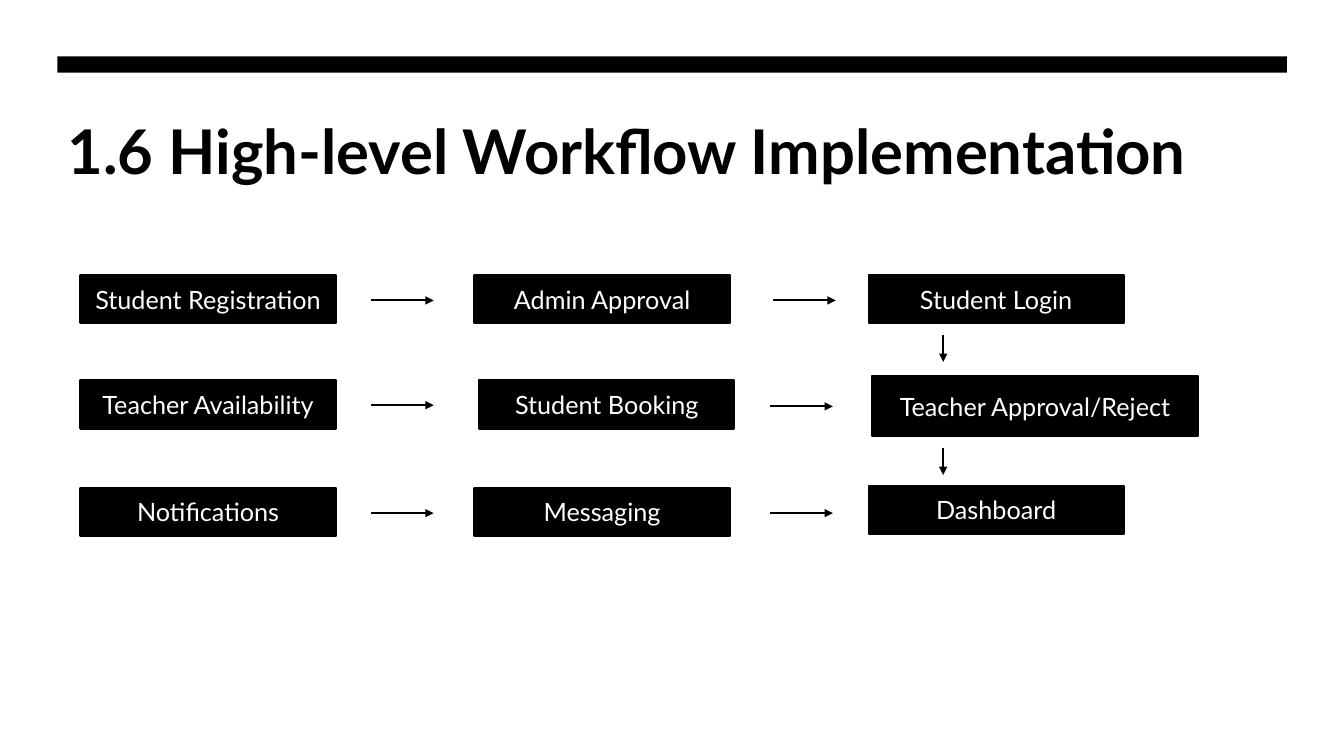
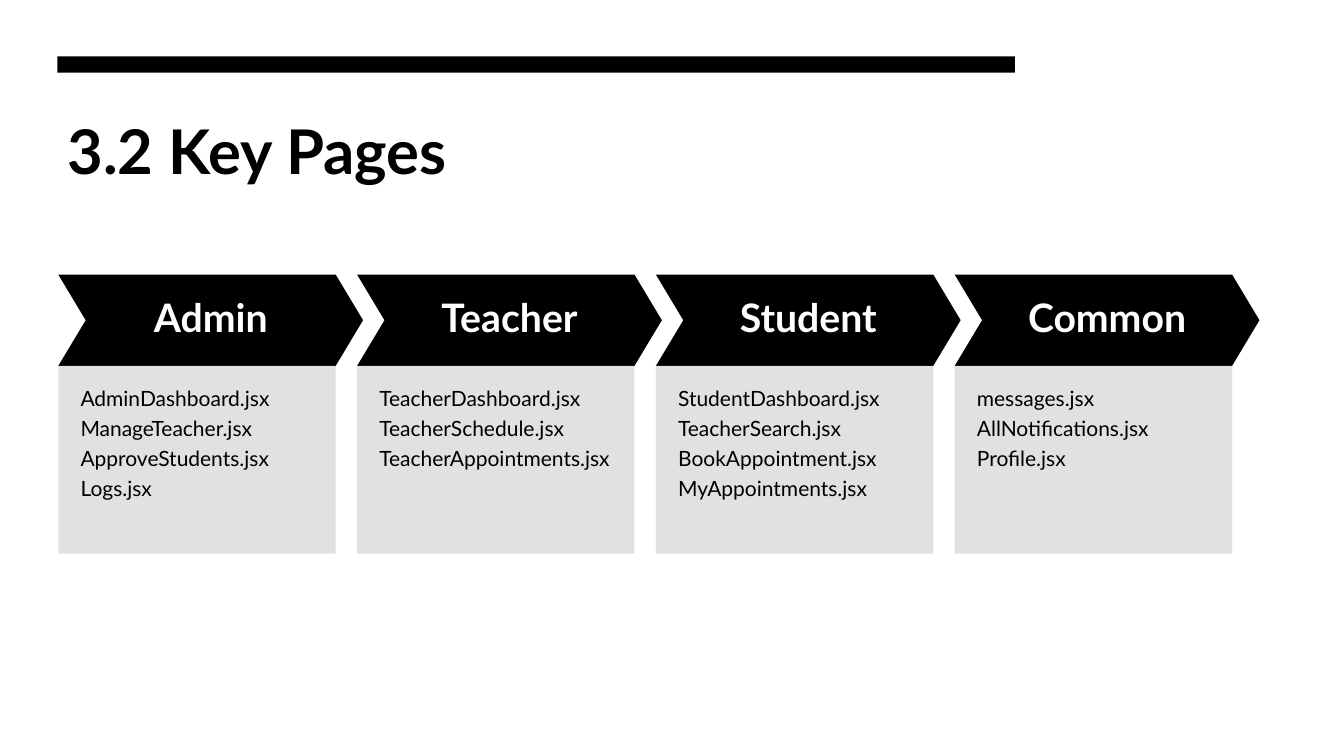
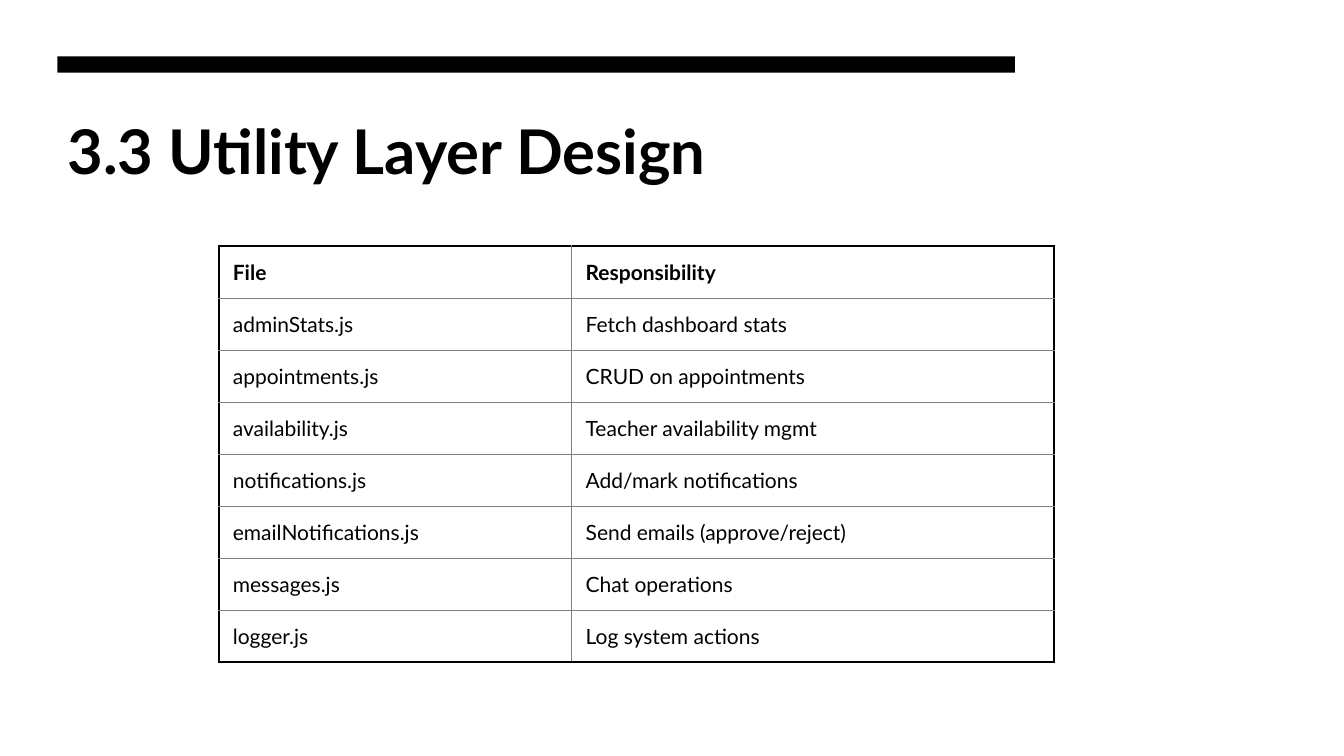
"""Build three slides on the workflow, key pages and utility layer of a booking system."""
from typing import NamedTuple

from lxml import etree
from pptx import Presentation, dml, util as u
from pptx.dml import color
from pptx.enum import shapes, text
from pptx.oxml import ns

COLOURS = {"ink": "000000", "paper": "FFFFFF", "panel": "DEDEDE", "grid": "808080"}
FONT = "Lato"
MARGIN = 1.45
WIDE, NARROW = 30.98, 24.13

COLUMN_LEFT, COLUMN_STEP = 2.03, 9.93
ROW_TOPS = (6.93, 9.58, 12.29)
STEP_WIDTH, STEP_HEIGHT = 6.43, 1.22


class Step(NamedTuple):
    label: str
    column: int
    row: int
    shift_x: float = 0
    shift_y: float = 0
    width: float = STEP_WIDTH
    height: float = STEP_HEIGHT


class Arrow(NamedTuple):
    x: float
    y: float
    dx: float = 0
    dy: float = 0


class PageGroup(NamedTuple):
    role: str
    files: tuple[str, ...]


class Utility(NamedTuple):
    file: str
    responsibility: str


STEPS = (
    Step("Student Registration", 0, 0),
    Step("Admin Approval", 1, 0),
    Step("Student Login", 2, 0),
    Step("Teacher Availability", 0, 1),
    Step("Student Booking", 1, 1, shift_x=0.12),
    Step("Teacher Approval/Reject", 2, 1, 0.08, -0.11, 8.23, 1.52),
    Step("Notifications", 0, 2),
    Step("Messaging", 1, 2),
    Step("Dashboard", 2, 2, shift_y=-0.05),
)
ACROSS, DOWN = 1.58, 0.67
ARROWS = (
    Arrow(9.35, 7.57, dx=ACROSS),
    Arrow(19.48, 7.57, dx=ACROSS),
    Arrow(9.35, 10.21, dx=ACROSS),
    Arrow(19.41, 10.24, dx=ACROSS),
    Arrow(9.35, 12.93, dx=ACROSS),
    Arrow(19.41, 12.93, dx=ACROSS),
    Arrow(23.77, 8.45, dy=DOWN),
    Arrow(23.77, 11.3, dy=DOWN),
)
PAGE_GROUPS = (
    PageGroup("Admin", ("AdminDashboard.jsx", "ManageTeacher.jsx", "ApproveStudents.jsx", "Logs.jsx")),
    PageGroup("Teacher", ("TeacherDashboard.jsx", "TeacherSchedule.jsx", "TeacherAppointments.jsx")),
    PageGroup("Student", ("StudentDashboard.jsx", "TeacherSearch.jsx", "BookAppointment.jsx",
                          "MyAppointments.jsx")),
    PageGroup("Common", ("messages.jsx", "AllNotifications.jsx", "Profile.jsx")),
)
UTILITIES = (
    Utility("File", "Responsibility"),
    Utility("adminStats.js", "Fetch dashboard stats"),
    Utility("appointments.js", "CRUD on appointments"),
    Utility("availability.js", "Teacher availability mgmt"),
    Utility("notifications.js", "Add/mark notifications"),
    Utility("emailNotifications.js", "Send emails (approve/reject)"),
    Utility("messages.js", "Chat operations"),
    Utility("logger.js", "Log system actions"),
)


def rgb(name: str) -> color.RGBColor:
    return color.RGBColor.from_string(COLOURS[name])


def write(frame, lines, size: float, ink: str = "ink", bold: bool = False,
          align=text.PP_ALIGN.LEFT, tight: bool = False) -> None:
    frame.word_wrap = True
    for index, line in enumerate(lines):
        paragraph = frame.paragraphs[0] if index == 0 else frame.add_paragraph()
        paragraph.text = line
        paragraph.alignment = align
        if tight:
            paragraph.line_spacing = 0.9
            paragraph.space_after = u.Pt(size * 0.35)
        font = paragraph.font
        font.name, font.size, font.bold = FONT, u.Pt(size), bold
        font.color.rgb = rgb(ink)


def set_margins(holder, left: float, top: float, right: float, bottom: float) -> None:
    holder.margin_left, holder.margin_top = u.Cm(left), u.Cm(top)
    holder.margin_right, holder.margin_bottom = u.Cm(right), u.Cm(bottom)


def add_block(slide, kind, left: float, top: float, width: float, height: float,
              fill: str = "ink", outline: float = 0):
    block = slide.shapes.add_shape(kind, u.Cm(left), u.Cm(top), u.Cm(width), u.Cm(height))
    block.shadow.inherit = False
    block.fill.solid()
    block.fill.fore_color.rgb = rgb(fill)
    if outline:
        block.line.color.rgb = rgb(fill)
        block.line.width = u.Pt(outline)
    else:
        block.line.fill.background()
    return block


def add_titled_slide(deck, title: str, width: float):
    slide = deck.slides.add_slide(deck.slide_layouts[6])
    add_block(slide, shapes.MSO_SHAPE.RECTANGLE, MARGIN, 1.42, width, 0.41)
    heading = slide.shapes.add_textbox(u.Cm(MARGIN), u.Cm(2.72), u.Cm(width), u.Cm(4.06))
    write(heading.text_frame, [title], 44, bold=True)
    return slide


def add_step(slide, step: Step) -> None:
    block = add_block(slide, shapes.MSO_SHAPE.RECTANGLE,
                      COLUMN_LEFT + step.column * COLUMN_STEP + step.shift_x,
                      ROW_TOPS[step.row] + step.shift_y, step.width, step.height, outline=1.5)
    write(block.text_frame, [step.label], 18, "paper", align=text.PP_ALIGN.CENTER)


def add_arrow(slide, arrow: Arrow) -> None:
    connector = slide.shapes.add_connector(
        shapes.MSO_CONNECTOR.STRAIGHT, u.Cm(arrow.x), u.Cm(arrow.y),
        u.Cm(arrow.x + arrow.dx), u.Cm(arrow.y + arrow.dy))
    connector.line.color.rgb = rgb("ink")
    connector.line.width = u.Pt(1.5)
    properties = connector.element.spPr
    etree.SubElement(properties.find(ns.qn("a:ln")), ns.qn("a:tailEnd"), type="triangle")
    etree.SubElement(properties, ns.qn("a:effectLst"))


def add_page_group(slide, group: PageGroup, left: float) -> None:
    top, banner_height, panel_width = 6.92, 2.3, 6.99
    banner = add_block(slide, shapes.MSO_SHAPE.CHEVRON, left, top, 7.68, banner_height)
    banner.adjustments[0] = 0.3
    set_margins(banner.text_frame, 0.28, 0.28, 0.28, 0.28)
    write(banner.text_frame, [group.role], 28, "paper", True, text.PP_ALIGN.CENTER, tight=True)

    panel = add_block(slide, shapes.MSO_SHAPE.RECTANGLE, left, top + banner_height,
                      panel_width, 4.73, "panel")
    tint = panel.element.spPr.find(".//" + ns.qn("a:srgbClr"))
    etree.SubElement(tint, ns.qn("a:alpha"), val="90000")
    panel.text_frame.vertical_anchor = text.MSO_ANCHOR.TOP
    set_margins(panel.text_frame, 0.56, 0.56, 0.56, 1.09)
    write(panel.text_frame, group.files, 15, tight=True)


def add_border(cell, side: str, outer: bool) -> None:
    width = u.Pt(1.5 if outer else 0.5)
    edge = etree.SubElement(cell._tc.get_or_add_tcPr(), ns.qn(f"a:ln{side}"), w=str(width))
    paint = etree.SubElement(edge, ns.qn("a:solidFill"))
    etree.SubElement(paint, ns.qn("a:srgbClr"), val=COLOURS["ink" if outer else "grid"])


def add_utility_table(slide) -> None:
    widths, row_height = (8.89, 12.17), 1.31
    last_row, last_column = len(UTILITIES) - 1, len(widths) - 1
    table = slide.shapes.add_table(
        len(UTILITIES), len(widths), u.Cm(5.51), u.Cm(6.2),
        u.Cm(sum(widths)), u.Cm(row_height * len(UTILITIES))).table
    table.horz_banding = False
    table.first_row = False
    for column, width in zip(table.columns, widths):
        column.width = u.Cm(width)
    for r, utility in enumerate(UTILITIES):
        table.rows[r].height = u.Cm(row_height)
        for c, entry in enumerate(utility):
            cell = table.cell(r, c)
            add_border(cell, "L", c == 0)
            add_border(cell, "R", c == last_column)
            add_border(cell, "T", r == 0)
            add_border(cell, "B", r == last_row)
            cell.fill.background()
            cell.vertical_anchor = text.MSO_ANCHOR.MIDDLE
            set_margins(cell, 0.36, 0.28, 0.28, 0.28)
            write(cell.text_frame, [entry], 15, bold=r == 0)


def main() -> None:
    deck = Presentation()
    deck.slide_width, deck.slide_height = u.Cm(33.87), u.Cm(19.05)

    workflow = add_titled_slide(deck, "1.6 High-level Workflow Implementation", WIDE)
    for step in STEPS:
        add_step(workflow, step)
    for arrow in ARROWS:
        add_arrow(workflow, arrow)

    key_pages = add_titled_slide(deck, "3.2 Key Pages", NARROW)
    for index, group in enumerate(PAGE_GROUPS):
        add_page_group(key_pages, group, 1.47 + index * 7.53)

    add_utility_table(add_titled_slide(deck, "3.3 Utility Layer Design", NARROW))
    deck.save("out.pptx")


if __name__ == "__main__":
    main()
